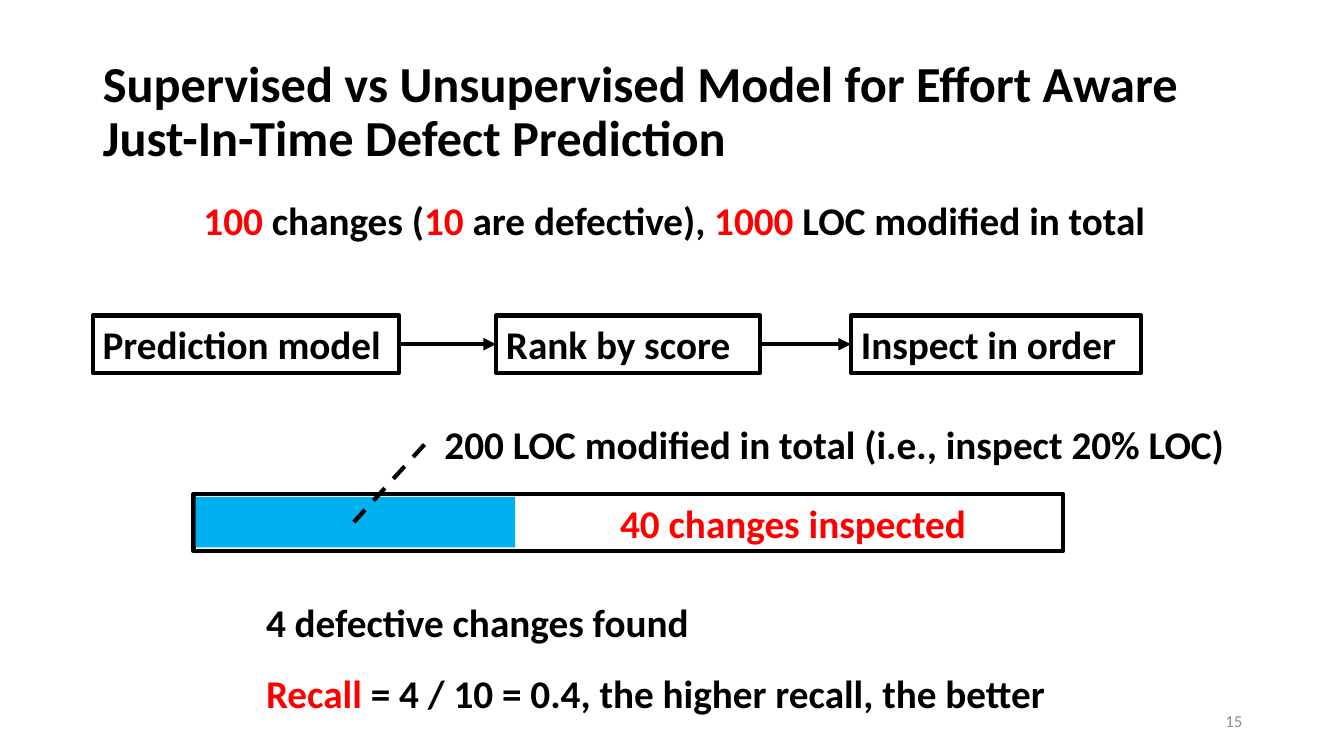
from itertools import pairwise

from lxml import etree
from pptx import Presentation
from pptx.dml.color import RGBColor
from pptx.enum.dml import MSO_LINE
from pptx.enum.shapes import MSO_CONNECTOR, MSO_SHAPE
from pptx.enum.text import MSO_ANCHOR, MSO_AUTO_SIZE, PP_ALIGN
from pptx.oxml.ns import qn
from pptx.util import Pt

EMU_PER_PX = 9144  # 100 px to the inch
COLORS = {"text": "000000", "accent": "FF0000", "inspected": "00B0F0",
          "number": "8C8C8C"}
FONT = "Calibri"
LINE_HEIGHT = 57
RECTANGLE = MSO_SHAPE.RECTANGLE
STRAIGHT = MSO_CONNECTOR.STRAIGHT
DASH = MSO_LINE.DASH
LEFT, CENTER, RIGHT = PP_ALIGN.LEFT, PP_ALIGN.CENTER, PP_ALIGN.RIGHT
TOP, MIDDLE = MSO_ANCHOR.TOP, MSO_ANCHOR.MIDDLE
NO_AUTOFIT = MSO_AUTO_SIZE.NONE
RIGHT_SIDE, LEFT_SIDE = 3, 1


def px(*lengths):
    return [length * EMU_PER_PX for length in lengths]


def color(name):
    return RGBColor.from_string(COLORS[name])


def write(shape, runs, size=28, bold=True, align=LEFT, anchor=TOP):
    """Fill a shape with one paragraph of (text, color name) runs."""
    frame = shape.text_frame
    frame.word_wrap = True
    frame.auto_size = NO_AUTOFIT
    frame.vertical_anchor = anchor
    paragraph = frame.paragraphs[0]
    paragraph.alignment = align
    for text, color_name in runs:
        run = paragraph.add_run()
        run.text = text
        run.font.name = FONT
        run.font.size = Pt(size)
        run.font.bold = bold
        run.font.color.rgb = color(color_name)
    return paragraph


def add_text(slide, box, runs, **style):
    write(slide.shapes.add_textbox(*px(*box)), runs, **style)


def add_rectangle(slide, box, fill=None):
    """Add a filled bar without outline, or an outlined empty box."""
    rectangle = slide.shapes.add_shape(RECTANGLE, *px(*box))
    rectangle.shadow.inherit = False
    if fill:
        rectangle.fill.solid()
        rectangle.fill.fore_color.rgb = color(fill)
        rectangle.line.fill.background()
    else:
        rectangle.fill.background()
        rectangle.line.color.rgb = color("text")
        rectangle.line.width = Pt(3)
    return rectangle


def add_line(slide, start=(0, 0), end=(0, 0)):
    line = slide.shapes.add_connector(STRAIGHT, *px(*start, *end))
    line.line.color.rgb = color("text")
    line.line.width = Pt(3)
    etree.SubElement(line._element.spPr, qn("a:effectLst"))
    return line


def add_title(slide, box):
    title = slide.shapes.title
    title.left, title.top, title.width, title.height = px(*box)
    heading = ("Supervised vs Unsupervised Model for Effort Aware "
               "Just-In-Time Defect Prediction")
    paragraph = write(title, [(heading, "text")], size=36, anchor=MIDDLE)
    paragraph.line_spacing = 0.9


def add_process(slide, box):
    """Place the three steps in a row and join them with arrows."""
    left, top, _, height = box
    steps = []
    for label, offset, width in (("Prediction model", 0, 304),
                                 ("Rank by score", 400, 262),
                                 ("Inspect in order", 752, 288)):
        step = add_rectangle(slide, (left + offset, top, width, height))
        write(step, [(label, "text")])
        steps.append(step)
    for source, target in pairwise(steps):
        arrow = add_line(slide)
        arrow.begin_connect(source, RIGHT_SIDE)
        arrow.end_connect(target, LEFT_SIDE)
        etree.SubElement(arrow.line._get_or_add_ln(), qn("a:tailEnd"),
                         type="triangle")


def add_inspection_bar(slide, box):
    """Place the bar of changes, its inspected part and the callout."""
    left, top, width, height = box
    add_rectangle(slide, box)
    add_rectangle(slide, (left + 2, top + 3, 317, height - 7), "inspected")
    add_text(slide, (left + 398, top, 393, height),
             [("40 changes inspected", "accent")],
             align=CENTER, anchor=MIDDLE)
    pointer = add_line(slide, (left + 229, top - 49), (left + 159, top + 28))
    pointer.line.dash_style = DASH
    add_text(slide, (left + 239, top - 78, 848, LINE_HEIGHT),
             [("200 LOC modified in total (i.e., inspect 20% LOC)", "text")])


def add_results(slide, box):
    left, top, width, height = box
    results = (
        [("4 defective changes found", "text")],
        [("Recall", "accent"),
         (" = 4 / 10 = 0.4, the higher recall, the better", "text")],
    )
    pitch = height - LINE_HEIGHT
    for row, runs in enumerate(results):
        add_text(slide, (left, top + row * pitch, width, LINE_HEIGHT), runs)


def main():
    presentation = Presentation()
    presentation.slide_width, presentation.slide_height = px(1333, 750)
    slide = presentation.slides.add_slide(presentation.slide_layouts[5])
    add_title(slide, (92, 40, 1150, 145))
    add_text(slide, (942, 695, 300, 40), [("15", "number")],
             size=12, bold=False, align=RIGHT, anchor=MIDDLE)
    add_text(slide, (192, 190, 1096, LINE_HEIGHT),
             [("100", "accent"), (" changes (", "text"), ("10", "accent"),
              (" are defective), ", "text"), ("1000", "accent"),
              (" LOC modified in total", "text")])
    add_process(slide, (92, 313, 1040, LINE_HEIGHT))
    add_inspection_bar(slide, (192, 490, 862, LINE_HEIGHT))
    add_results(slide, (254, 589, 819, 127))
    presentation.save("out.pptx")


if __name__ == "__main__":
    main()
